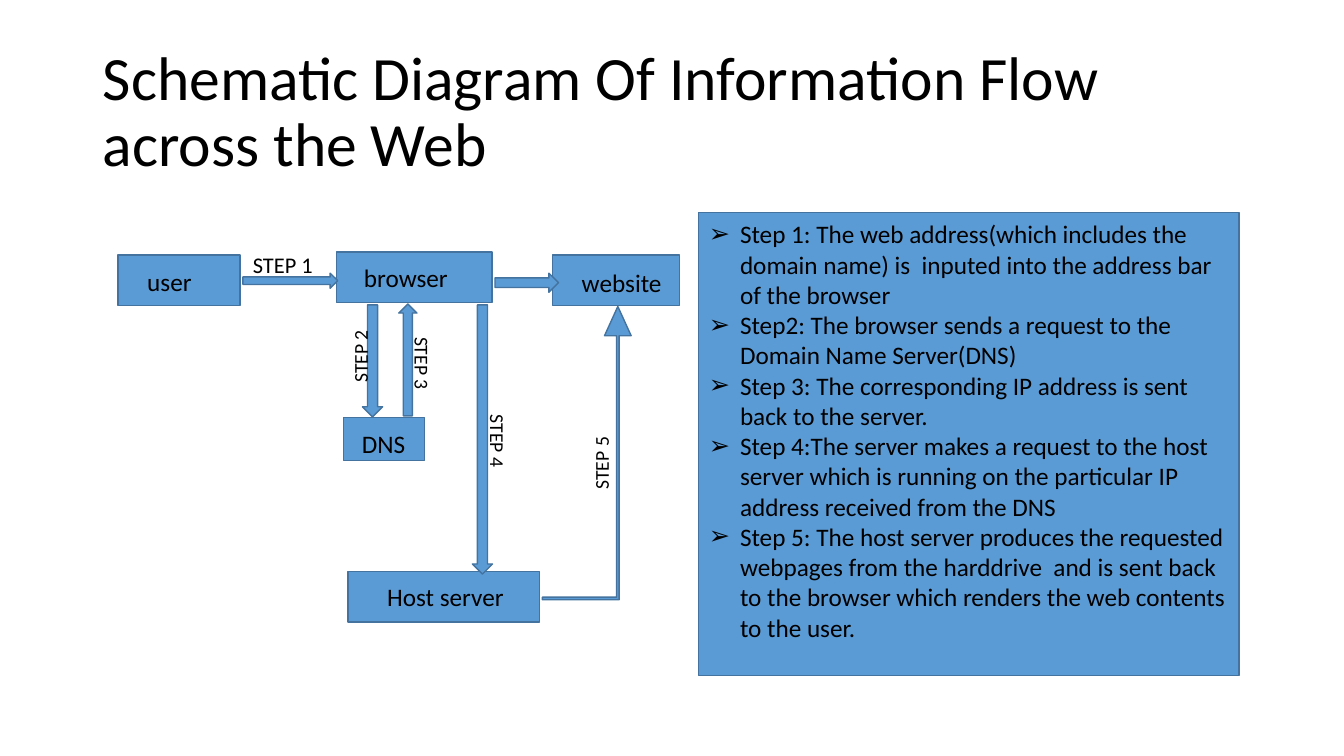
from pptx import Presentation
from pptx.dml.color import RGBColor
from pptx.enum.shapes import MSO_SHAPE
from pptx.enum.text import MSO_ANCHOR, MSO_AUTO_SIZE, PP_ALIGN
from pptx.oxml.ns import qn
from pptx.util import Inches, Pt
from lxml import etree

BLUE = RGBColor(0x5B, 0x9B, 0xD5)
DARK_BLUE = RGBColor(0x43, 0x73, 0x9E)
BLACK = RGBColor(0, 0, 0)


def paint(shape):
    shape.fill.solid()
    shape.fill.fore_color.rgb = BLUE
    shape.line.color.rgb = DARK_BLUE
    shape.line.width = Pt(1)


def write(shape, lines, size, anchor=MSO_ANCHOR.TOP, spacing=1.0, **margins):
    frame = shape.text_frame
    frame_format = {"word_wrap": True, "auto_size": MSO_AUTO_SIZE.NONE,
                    "vertical_anchor": anchor}
    for name, value in frame_format.items():
        setattr(frame, name, value)
    for side, value in margins.items():
        setattr(frame, f"margin_{side}", Inches(value))
    frame.text = "\n".join(lines)
    para_format = {"alignment": PP_ALIGN.LEFT, "line_spacing": spacing,
                   "space_before": Pt(0), "space_after": Pt(0)}
    font_format = {"name": "Calibri", "size": Pt(size)}
    for para in frame.paragraphs:
        for name, value in para_format.items():
            setattr(para, name, value)
        for span in para.runs:
            for name, value in font_format.items():
                setattr(span.font, name, value)
            span.font.color.rgb = BLACK


deck = Presentation()
deck.slide_width, deck.slide_height = Inches(13.33), Inches(7.5)
page = deck.slides.add_slide(deck.slide_layouts[1])
title, steps = page.placeholders

# Title and step list placeholders
for holder, place in ((title, (0.92, 0.4, 11.5, 1.45)),
                      (steps, (6.93, 2.11, 5.36, 4.59))):
    holder.left, holder.top, holder.width, holder.height = map(Inches, place)

write(title, ["Schematic Diagram Of Information Flow across the Web"], 44,
      MSO_ANCHOR.MIDDLE, 0.9)

# Step list
paint(steps)
write(steps, [
    "Step 1: The web address(which includes the domain name) is  inputed "
    "into the address bar of the browser",
    "Step2: The browser sends a request to the Domain Name Server(DNS)",
    "Step 3: The corresponding IP address is sent back to the server.",
    "Step 4:The server makes a request to the host server which is running "
    "on the particular IP address received from the DNS",
    "Step 5: The host server produces the requested webpages from the "
    "harddrive  and is sent back to the browser which renders the web "
    "contents to the user.",
], 18, top=0.06)
for para in steps.text_frame.paragraphs:
    properties = para._p.get_or_add_pPr()
    properties.set("marL", str(Inches(0.31)))
    properties.set("indent", str(-Inches(0.31)))
    etree.SubElement(properties, qn("a:buFont"), typeface="Wingdings 2")
    properties[-1].set("typeface", "Arial")
    etree.SubElement(properties, qn("a:buChar"), char="\u27a2")

# Boxes: name, place, left and top text margins
boxes = [
    ("user", (1.17, 2.53, 1.21, 0.5), 0.29, 0.11),
    ("browser", (3.34, 2.5, 1.54, 0.5), 0.27, 0.1),
    ("DNS", (3.41, 4.14, 0.8, 0.43), 0.18, 0.11),
    ("Host server", (3.45, 5.67, 1.9, 0.5), 0.39, 0.1),
    ("website", (5.48, 2.53, 1.26, 0.5), 0.29, 0.12),
]
for name, place, left, top in boxes:
    box = page.shapes.add_shape(MSO_SHAPE.RECTANGLE, *map(Inches, place))
    box.shadow.inherit = False
    paint(box)
    write(box, [name], 18, left=left, top=top, right=0, bottom=0)

# Arrows: shape, place, rotation, adjustments
straight, bent = MSO_SHAPE.RIGHT_ARROW, MSO_SHAPE.BENT_UP_ARROW
arrows = [
    (straight, (2.41, 2.71, 0.94, 0.15), 0, ()),
    (straight, (4.91, 2.71, 0.63, 0.19), 0, ()),
    (straight, (3.14, 3.48, 1.11, 0.2), 90, ()),
    (straight, (3.49, 3.48, 1.11, 0.18), 270, ()),
    (straight, (3.45, 4.26, 2.67, 0.2), 90, ()),
    (bent, (5.38, 3.04, 0.88, 2.91), 0, (0.03, 0.15, 0.33)),
]
for kind, place, rotation, adjustments in arrows:
    arrow = page.shapes.add_shape(kind, *map(Inches, place))
    arrow.shadow.inherit = False
    arrow.rotation = rotation
    for index, value in enumerate(adjustments):
        arrow.adjustments[index] = value
    paint(arrow)

# Step labels: place, rotation, text size
labels = [
    ((2.41, 2.44, 0.81, 0.37), 0, 16),
    ((3.02, 3.17, 1.11, 0.34), 270, 14),
    ((3.76, 3.5, 0.85, 0.34), 90, 14),
    ((4.51, 4.27, 0.85, 0.34), 90, 14),
    ((5.54, 4.36, 0.85, 0.34), 270, 14),
]
for number, (place, rotation, size) in enumerate(labels, 1):
    label = page.shapes.add_textbox(*map(Inches, place))
    label.rotation = rotation
    write(label, [f"STEP {number}"], size, right=0)

deck.save("out.pptx")
